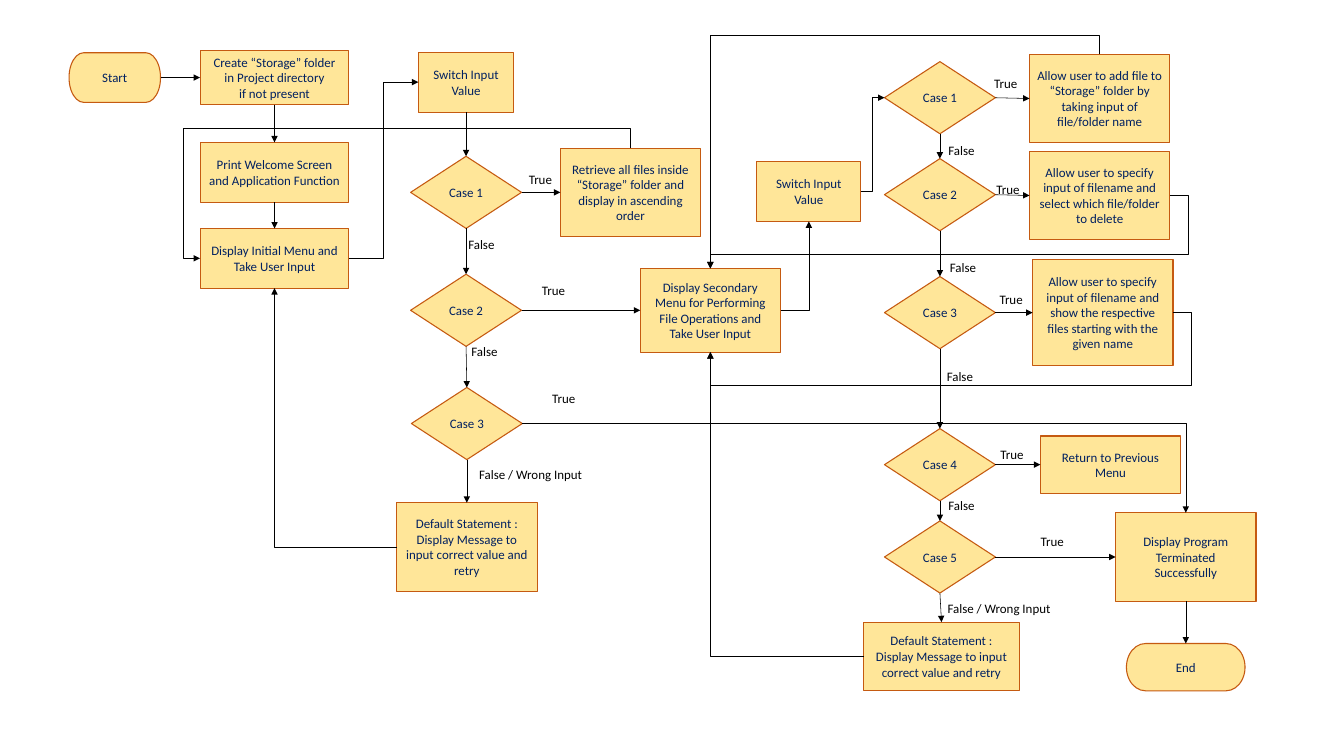
"""Build the file storage program flowchart slide."""
from lxml import etree
from pptx import Presentation
from pptx.dml.color import RGBColor
from pptx.enum.shapes import MSO_CONNECTOR, MSO_SHAPE
from pptx.enum.text import MSO_ANCHOR, PP_ALIGN
from pptx.oxml.ns import qn
from pptx.util import Inches, Pt

BOX, PROC = MSO_SHAPE.RECTANGLE, MSO_SHAPE.FLOWCHART_PROCESS
CASE, TERM = MSO_SHAPE.FLOWCHART_DECISION, MSO_SHAPE.FLOWCHART_TERMINATOR
LINE, BENT = MSO_CONNECTOR.STRAIGHT, MSO_CONNECTOR.ELBOW
MIDDLE, CENTER, LEFT = MSO_ANCHOR.MIDDLE, PP_ALIGN.CENTER, PP_ALIGN.LEFT
TOP, WEST, BASE, EAST = range(4)

SIZE = (17.33, 9.5)
HEX = {"fill": "FFE699", "edge": "C55A11", "text": "002060", "ink": "000000"}
RGB = {name: RGBColor.from_string(code) for name, code in HEX.items()}
FONT = {"name": "Calibri", "size": Pt(12)}
COLS = {"start": 1.48, "menu": 3.54, "case": 6.01, "list": 8.13, "sub": 9.16,
        "switch": 10.43, "test": 12.12, "act": 14.18, "end": 15.29}
DIAMOND = (1.43, 0.93)
WIDE = (1.81, 1.14)
STEP = (1.92, 0.77)
ERROR = "Default Statement : Display Message to input correct value and retry"

NODES = {
    "start": (TERM, "start", 0, 1, (1.18, 0.64), "Start"),
    "make": (BOX, "menu", 0, 1, (1.92, 0.7),
             "Create “Storage” folder in Project directory\nif not present"),
    "hello": (BOX, "menu", 0, 2.22, STEP,
              "Print Welcome Screen and Application Function"),
    "menu": (BOX, "menu", 0, 3.33, STEP,
             "Display Initial Menu and Take User Input"),
    "pick": (BOX, "case", 0, 1.06, (1.23, 0.77), "Switch Input\nValue"),
    "one": (CASE, "case", 0, 2.48, DIAMOND, "Case 1"),
    "two": (CASE, "case", 0, 4, DIAMOND, "Case 2"),
    "three": (CASE, "case", 0.01, 5.46, DIAMOND, "Case 3"),
    "wrong": (PROC, "case", 0.01, 7.05, WIDE, ERROR),
    "list": (PROC, "list", 0, 2.48, WIDE,
             "Retrieve all files inside “Storage” folder and display "
             "in ascending order"),
    "sub": (PROC, "sub", 0, 4, (1.81, 1.08),
            "Display Secondary Menu for Performing File Operations and "
            "Take User Input"),
    "switch": (BOX, "switch", 0, 2.47, (1.34, 0.77), "Switch Input\nValue"),
    "test1": (CASE, "test", 0, 1.26, DIAMOND, "Case 1"),
    "test2": (CASE, "test", 0, 2.51, DIAMOND, "Case 2"),
    "test3": (CASE, "test", 0, 4.03, DIAMOND, "Case 3"),
    "test4": (CASE, "test", 0, 5.99, DIAMOND, "Case 4"),
    "test5": (CASE, "test", 0, 7.18, DIAMOND, "Case 5"),
    "error": (PROC, "test", 0.02, 8.46, (2, 0.88), ERROR),
    "add": (PROC, "act", 0, 1.27, WIDE,
            "Allow user to add file to “Storage” folder by taking input of "
            "file/folder name"),
    "drop": (PROC, "act", 0, 2.52, WIDE,
             "Allow user to specify input of filename and select which "
             "file/folder to delete"),
    "show": (PROC, "act", 0.04, 4.03, (1.81, 1.37),
             "Allow user to specify input of filename and show the "
             "respective files starting with the given name"),
    "back": (PROC, "act", 0.14, 5.99, (1.81, 0.74),
             "Return to Previous Menu"),
    "done": (PROC, "end", 0, 7.18, WIDE,
             "Display Program Terminated Successfully"),
    "end": (TERM, "end", 0, 8.6, (1.53, 0.61), "End"),
}
DOWN = (("make", "hello", "menu"), ("pick", "one", "two", "three", "wrong"),
        ("test1", "test2", "test3", "test4", "test5", "error"),
        ("done", "end"))
ACROSS = (("start", "make"), ("one", "list"), ("two", "sub"),
          ("test1", "add"), ("test2", "drop"), ("test3", "show"),
          ("test4", "back"), ("test5", "done"))
BENDS = (
    ("menu", EAST, "pick", WEST, 3, (0.5,), 0),
    ("switch", EAST, "test1", WEST, 3, (0.5,), 0),
    ("wrong", WEST, "menu", BASE, 2, (), 0),
    ("three", EAST, "done", TOP, 2, (), 0),
    ("error", WEST, "sub", BASE, 2, (), 0),
    ("sub", EAST, "switch", BASE, 2, (), 0),
    ("list", TOP, "menu", WEST, 4, (-0.18, 1.04), 90),
    ("show", EAST, "sub", BASE, 4, (-0.04, 1.83), 0),
    ("drop", EAST, "sub", TOP, 4, (-0.04, 0.8), 0),
    ("add", TOP, "sub", TOP, 3, (-0.09,), 90),
)
LABELS = {
    ("True", 0.5): ((6.72, 2.16), (7.02, 4.99), (6.89, 3.6), (12.72, 0.93),
                    (12.75, 2.29), (12.79, 3.71), (12.8, 5.71),
                    (13.32, 6.83)),
    ("False", 0.54): ((5.94, 3), (5.98, 4.38), (12.13, 1.79), (12.15, 3.3),
                      (12.11, 4.7), (12.13, 6.36)),
    ("False / Wrong Input", 1.54): ((12.12, 7.69), (6.08, 5.96)),
}


def put(item, values):
    for name, value in values.items():
        setattr(item, name, value)


def write(shape, text, hue, align, frame):
    put(shape.text_frame, {"text": text, **frame})
    for para in shape.text_frame.paragraphs:
        para.alignment = align
        put(para.font, FONT)
        para.font.color.rgb = RGB[hue]


def draw(shapes, kind, col, shift, mid, size, text):
    wide, high = size
    left, top = COLS[col] + shift - wide / 2, mid - high / 2
    node = shapes.add_shape(kind, *map(Inches, (left, top, wide, high)))
    node.shadow.inherit = False
    node.fill.solid()
    node.fill.fore_color.rgb = RGB["fill"]
    node.line.color.rgb = RGB["edge"]
    node.line.width = Pt(1)
    write(node, text, "text", CENTER,
          {"word_wrap": True, "vertical_anchor": MIDDLE})
    return node


def join(shapes, kind, first, out, last, into):
    wire = shapes.add_connector(kind, 0, 0, 0, 0)
    wire.begin_connect(first, out)
    wire.end_connect(last, into)
    wire.line.color.rgb = RGB["ink"]
    wire.line.width = Pt(0.5)
    props = wire._element.spPr
    etree.SubElement(props.find(qn("a:ln")), qn("a:tailEnd"), type="triangle")
    etree.SubElement(props, qn("a:effectLst"))
    return wire


def bend(wire, count, ratios, turn):
    props = wire._element.spPr
    geom = props.find(qn("a:prstGeom"))
    geom.set("prst", f"bentConnector{count}")
    guides = geom.find(qn("a:avLst"))
    for num, ratio in enumerate(ratios, 1):
        etree.SubElement(guides, qn("a:gd"), name=f"adj{num}",
                         fmla=f"val {round(ratio * 100000)}")
    if turn:
        wide, high = wire.width, wire.height
        shift = (wide - high) // 2
        put(wire, {"left": wire.left + shift, "top": wire.top - shift,
                   "width": high, "height": wide})
        put(props.xfrm, {"rot": turn, "flipH": False, "flipV": False})


def main():
    deck = Presentation()
    put(deck, dict(zip(("slide_width", "slide_height"), map(Inches, SIZE))))
    shapes = deck.slides.add_slide(deck.slide_layouts[6]).shapes
    nodes = {key: draw(shapes, *node) for key, node in NODES.items()}
    for chain in DOWN:
        for first, last in zip(chain, chain[1:]):
            join(shapes, LINE, nodes[first], BASE, nodes[last], TOP)
    for first, last in ACROSS:
        join(shapes, LINE, nodes[first], EAST, nodes[last], WEST)
    for first, out, last, into, *form in BENDS:
        bend(join(shapes, BENT, nodes[first], out, nodes[last], into), *form)
    for (text, wide), spots in LABELS.items():
        for left, top in spots:
            area = map(Inches, (left, top, wide, 0.3))
            write(shapes.add_textbox(*area), text, "ink", LEFT,
                  {"word_wrap": False})
    deck.save("out.pptx")


if __name__ == "__main__":
    main()
